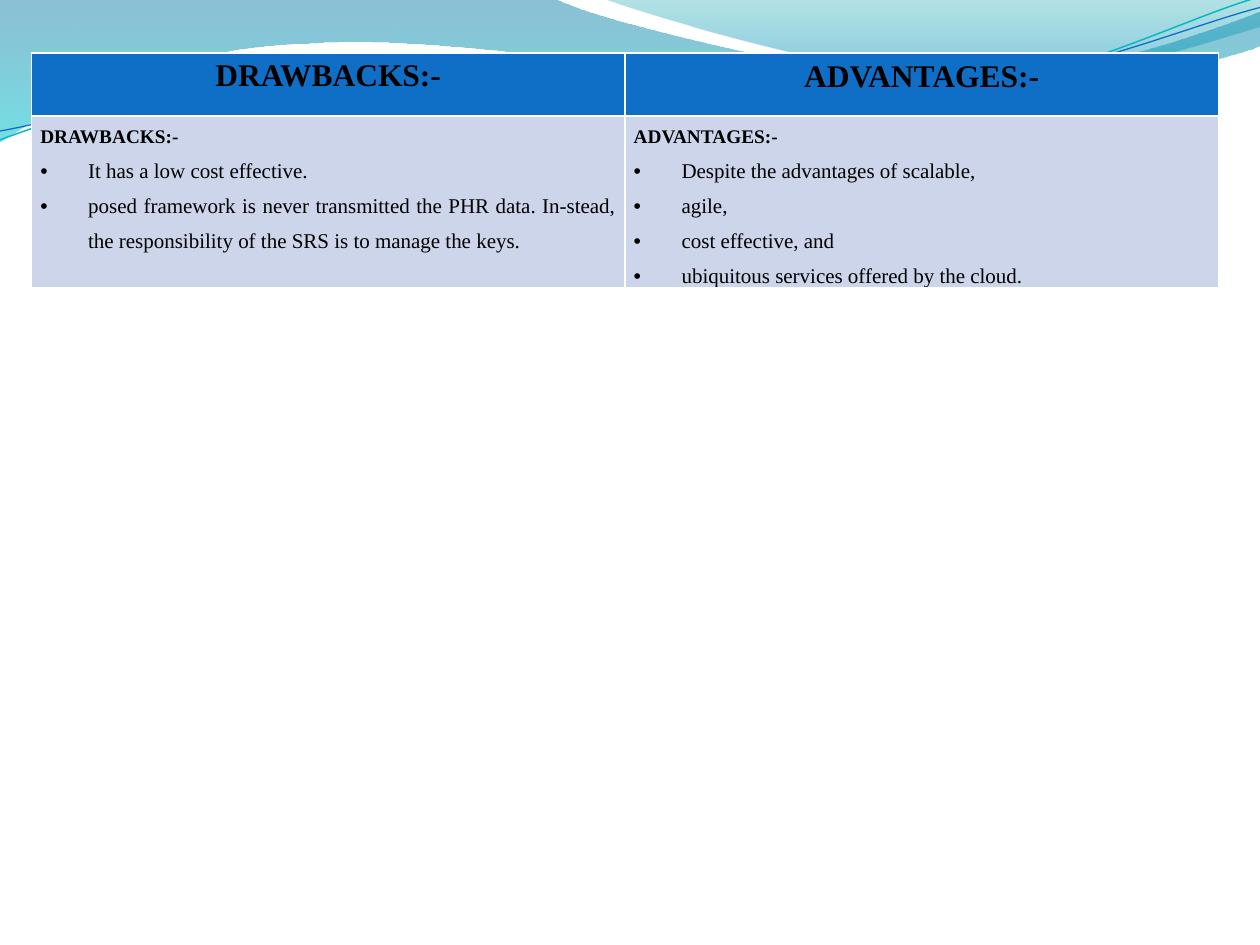
from math import cos, radians, sin

from lxml.etree import SubElement
from pptx import Presentation
from pptx.dml.color import RGBColor
from pptx.enum.text import MSO_ANCHOR, PP_ALIGN
from pptx.oxml import parse_xml
from pptx.oxml.ns import nsdecls, qn
from pptx.util import Inches, Pt

BLACK = RGBColor(0x00, 0x00, 0x00)
BLUE = RGBColor(0x0F, 0x6F, 0xC6)
TEAL = RGBColor(0x0A, 0xB8, 0xBF)
LAVENDER = RGBColor(0xCC, 0xD5, 0xEA)
DEEP_BLUE = RGBColor(0x00, 0x74, 0xA1)
TURQUOISE = RGBColor(0x00, 0xC6, 0xCF)
DEEP_TEAL = RGBColor(0x00, 0xA1, 0xA9)
SKY = RGBColor(0x00, 0x8B, 0xBF)

STRAND_TILT = -2.7

# Each outline is a start point and segments: one point for a line, three for a curve.
LEFT_WAVE = [
    [(0, 0)], [(4.4, -0.01)],
    [(4.76, 0.17), (6.64, 0.63), (7.58, 0.63)],
    [(8.53, 0.63), (9.58, 0.26), (10, 0.09)],
    [(10.01, 0.36)],
    [(9.83, 0.44), (8.7, 0.76), (7.46, 0.75)],
    [(6.22, 0.75), (3.82, 0.28), (2.57, 0.34)],
    [(1.29, 0.36), (0.46, 0.83), (-0.01, 1.13)],
    [(0, 0)],
]
RIGHT_WAVE = [
    [(4.79, -0.01)],
    [(5.09, 0.11), (6.82, 0.62), (7.69, 0.65)],
    [(8.56, 0.69), (9.61, 0.32), (10, 0.21)],
    [(10, 0)], [(4.79, -0.01)],
]
TEAL_STRAND = [
    [(0, 1.11)],
    [(0.48, 0.93), (1.58, 0.57), (2.77, 0.52)],
    [(3.95, 0.47), (5.93, 0.89), (7.13, 0.8)],
    [(8.33, 0.71), (9.38, 0.15), (9.98, -0.02)],
]
BLUE_STRAND = [
    [(0, 1.04)],
    [(0.47, 0.96), (1.64, 0.61), (2.83, 0.56)],
    [(4.03, 0.51), (5.97, 0.84), (7.17, 0.75)],
    [(8.36, 0.67), (9.41, 0.21), (10, 0.06)],
]

DRAWBACKS = [
    "It has a low cost effective.",
    "posed framework is never transmitted the PHR data. In-stead, "
    "the responsibility of the SRS is to manage the keys.",
]
ADVANTAGES = [
    "Despite the advantages of scalable,",
    "agile,",
    "cost effective, and",
    "ubiquitous services offered by the cloud.",
]


def turn(outline, degrees, center):
    """Turn every point of an outline clockwise about a center."""
    cosine, sine = cos(radians(degrees)), sin(radians(degrees))
    center_x, center_y = center
    return [[(center_x + (x - center_x) * cosine - (y - center_y) * sine,
              center_y + (x - center_x) * sine + (y - center_y) * cosine)
             for x, y in segment] for segment in outline]


class SlideBuilder:
    font_name = "Times New Roman"

    def __init__(self, slide):
        self.slide = slide

    def outline(self, segments, close):
        """Add a freeform, joining each group of three points into one curve."""
        points = [(Inches(x), Inches(y)) for segment in segments for x, y in segment]
        builder = self.slide.shapes.build_freeform(*points[0])
        builder.add_line_segments(points[1:], close=close)
        shape = builder.convert_to_shape()
        shape.shadow.inherit = False
        lines = iter(list(shape.element.iter(qn("a:lnTo"))))
        for segment in segments[1:]:
            group = [next(lines) for _ in segment]
            if len(group) == 3:
                curve = group[0]
                curve.tag = qn("a:cubicBezTo")
                for line in group[1:]:
                    curve.append(line[0])
                    line.getparent().remove(line)
        return shape

    def wave(self, segments, stops):
        """Add a closed shape fading downwards; stops are position, colour, opacity."""
        shape = self.outline(segments, True)
        shape.line.fill.background()
        shape.fill.background()
        stop_xml = "".join(
            f'<a:gs pos="{position * 1000}"><a:srgbClr val="{color}">'
            f'<a:alpha val="{opacity * 1000}"/></a:srgbClr></a:gs>'
            for position, color, opacity in stops)
        gradient = parse_xml(
            f'<a:gradFill {nsdecls("a")} rotWithShape="1"><a:gsLst>{stop_xml}</a:gsLst>'
            '<a:lin ang="5400000" scaled="0"/></a:gradFill>')
        properties = shape.element.spPr
        properties.replace(properties.find(qn("a:noFill")), gradient)

    def strand(self, segments, color, width, center):
        shape = self.outline(turn(segments, -STRAND_TILT, center), False)
        shape.rotation = STRAND_TILT
        shape.fill.background()
        shape.line.color.rgb = color
        shape.line.width = Pt(width)

    def table(self, left, top, height, widths, row_heights):
        frame = self.slide.shapes.add_table(
            len(row_heights), len(widths), Inches(left), Inches(top),
            Inches(sum(widths)), Inches(height))
        table = frame.table
        for column, width in zip(table.columns, widths):
            column.width = Inches(width)
        for row, row_height in zip(table.rows, row_heights):
            row.height = Inches(row_height)
        frame.height = Inches(height)
        return table

    def cell(self, cell, fill, side_margin, top_margin):
        margins = {"margin_left": side_margin, "margin_right": side_margin,
                   "margin_top": top_margin, "margin_bottom": top_margin}
        for name, value in margins.items():
            setattr(cell, name, Inches(value))
        cell.vertical_anchor = MSO_ANCHOR.TOP
        cell.fill.solid()
        cell.fill.fore_color.rgb = fill

    def text(self, para, words, size, bold=False, indent=0, bullet=None, **formats):
        properties = para._p.get_or_add_pPr()
        if indent:
            properties.set("marL", str(Inches(indent)))
            properties.set("indent", str(-Inches(indent)))
        if bullet:
            SubElement(properties, qn("a:buFont"), typeface="Arial")
            SubElement(properties, qn("a:buChar"), char=bullet)
        for name, value in formats.items():
            setattr(para, name, value)
        span = para.add_run()
        span.text = words
        for name, value in {"name": self.font_name, "size": Pt(size), "bold": bold}.items():
            setattr(span.font, name, value)
        span.font.color.rgb = BLACK

    def body(self, cell, heading, items):
        frame = cell.text_frame
        layout = {"alignment": PP_ALIGN.JUSTIFY, "line_spacing": 1.5}
        self.text(frame.paragraphs[0], heading, 11, bold=True, indent=0.13, **layout)
        for item in items:
            self.text(frame.add_paragraph(), item, 12, indent=0.38, bullet="•", **layout)


def main():
    deck = Presentation()
    deck.slide_width, deck.slide_height = Inches(10), Inches(7.5)
    page = SlideBuilder(deck.slides.add_slide(deck.slide_layouts[6]))

    page.wave(LEFT_WAVE, [(0, DEEP_BLUE, 45), (100, TURQUOISE, 55)])
    page.wave(RIGHT_WAVE, [(0, DEEP_TEAL, 30), (80, SKY, 45)])
    page.strand(TEAL_STRAND, TEAL, 0.85, (4.99, 0.58))
    page.strand(BLUE_STRAND, BLUE, 0.75, (5, 0.59))

    table = page.table(0.25, 0.42, 1.98, [4.71, 4.71], [0.5, 0.31])
    columns = [
        ("DRAWBACKS:-", DRAWBACKS, 0.12, 0,
         {"line_spacing": 1.15, "space_after": Pt(10)}),
        ("ADVANTAGES:-", ADVANTAGES, 0.1, 0.05, {}),
    ]
    for index, (heading, items, side, top, spacing) in enumerate(columns):
        header, body = table.cell(0, index), table.cell(1, index)
        page.cell(header, BLUE, side, top)
        page.text(header.text_frame.paragraphs[0], heading, 18, bold=True,
                  alignment=PP_ALIGN.CENTER, **spacing)
        page.cell(body, LAVENDER, 0.07, 0)
        page.body(body, heading, items)

    deck.save("out.pptx")


if __name__ == "__main__":
    main()
